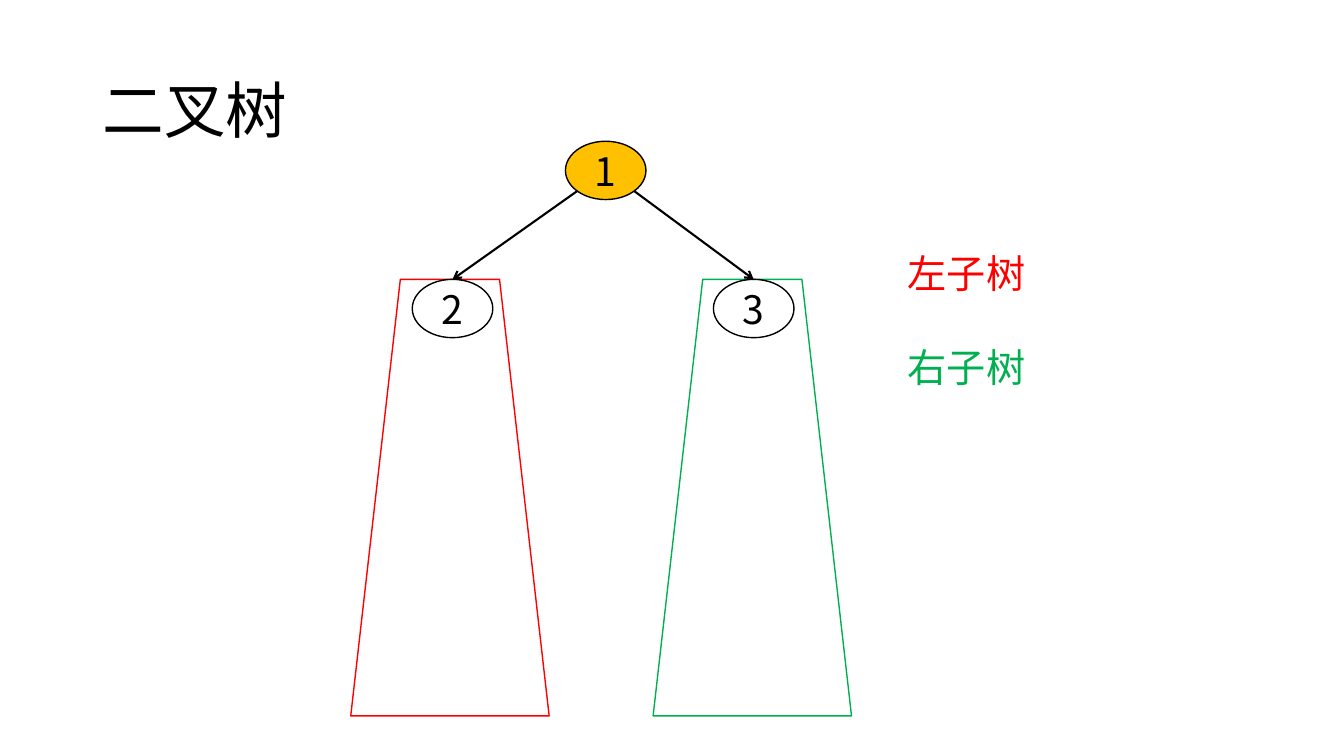
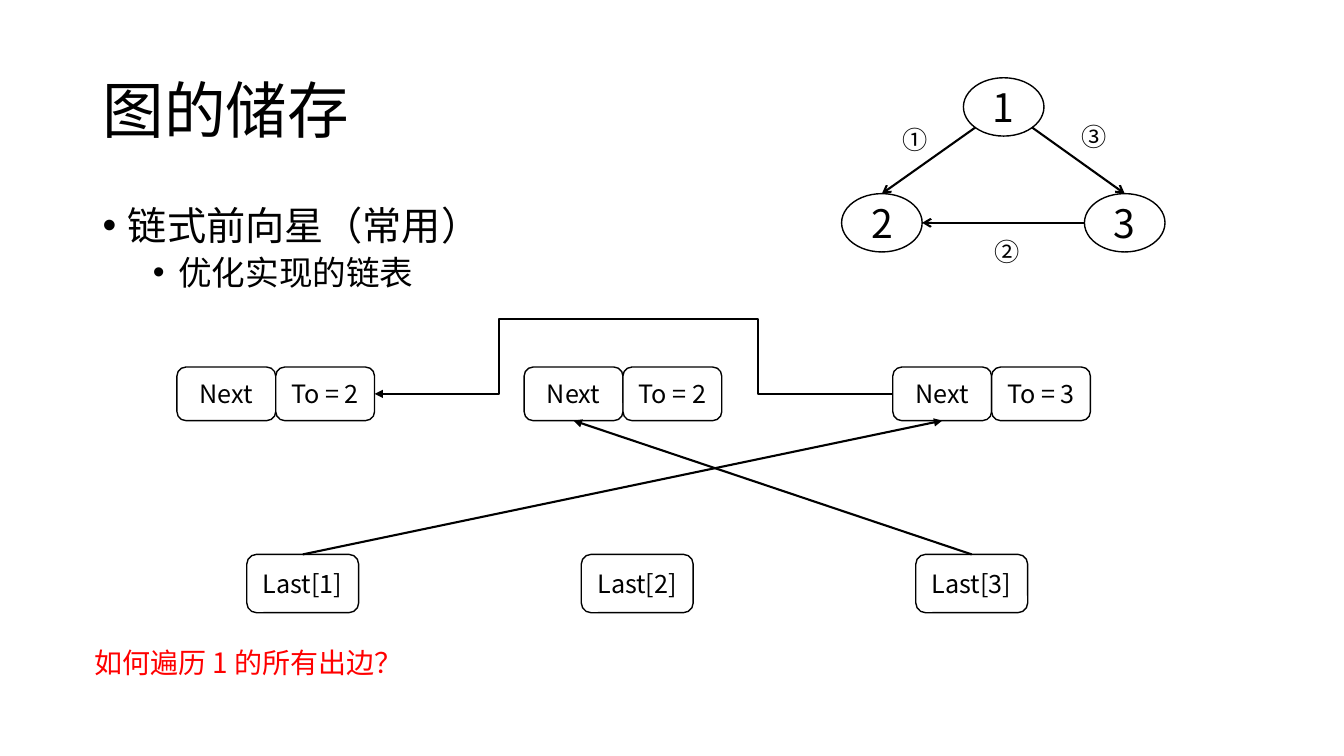
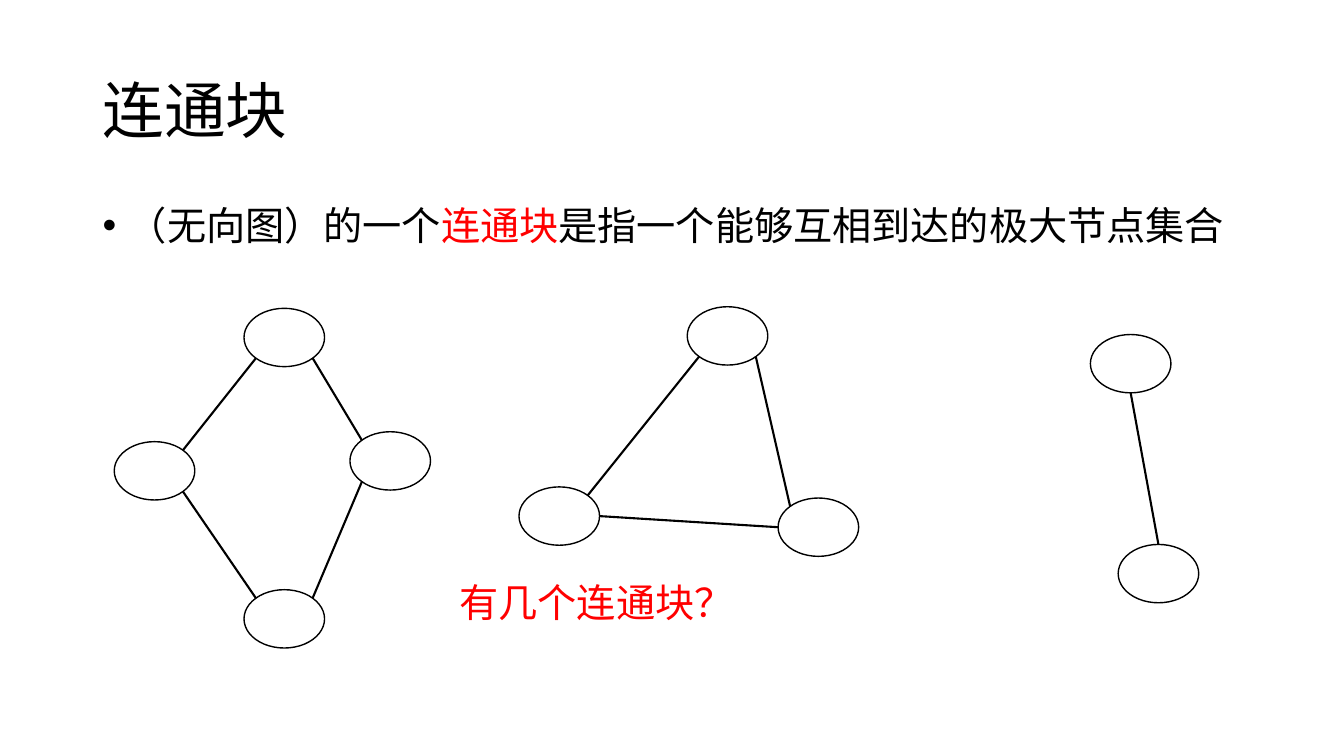
from lxml.etree import SubElement
from pptx import Presentation
from pptx.dml.color import RGBColor
from pptx.enum.shapes import MSO_CONNECTOR, MSO_SHAPE
from pptx.enum.text import MSO_ANCHOR, MSO_AUTO_SIZE, PP_ALIGN
from pptx.oxml.ns import qn
from pptx.util import Cm, Pt

FONT = "Noto Sans CJK SC"
BLACK = RGBColor(0x00, 0x00, 0x00)
WHITE = RGBColor(0xFF, 0xFF, 0xFF)
RED = RGBColor(0xFF, 0x00, 0x00)
GREEN = RGBColor(0x00, 0xB0, 0x50)
AMBER = RGBColor(0xFF, 0xC0, 0x00)

TITLE_AREA = (2.33, 1.01, 29.21, 3.68)
BODY_AREA = (2.33, 5.08, 29.21, 12.09)
BODY_LEVELS = [(28, 10, 0.64), (24, 5, 1.91)]
HANGING = Cm(0.64)
NODE_SIZE = (2.03, 1.47)
NEAR, FAR = 0.15, 0.85
NODE_SIDES = {
    "top": (0.5, 0), "bottom": (0.5, 1), "left": (0, 0.5), "right": (1, 0.5),
    "top left": (NEAR, NEAR), "top right": (FAR, NEAR),
    "bottom left": (NEAR, FAR), "bottom right": (FAR, FAR),
}

TREE_NODES = {"1": (14.25, 3.56), "2": (10.39, 7.04), "3": (17.98, 7.04)}
TREE_EDGES = [("1", "bottom left", "2", "top"), ("1", "bottom right", "3", "top")]
SUBTREES = [(16.46, GREEN), (8.84, RED)]
SUBTREE_TOP, SUBTREE_SIZE = 7.04, (5.0, 11.0)
SUBTREE_LABELS = [("左子树", RED), ("右子树", GREEN)]

STORAGE_LIST = [(0, [("链式前向星（常用）", BLACK)]), (1, [("优化实现的链表", BLACK)])]
GRAPH_NODES = {"1": (24.28, 1.96), "2": (21.21, 4.88), "3": (27.33, 4.88)}
GRAPH_EDGES = TREE_EDGES + [("3", "left", "2", "right")]
EDGE_LABELS = [("①", 22.5, 3.0), ("②", 24.82, 5.84), ("③", 27.0, 2.92)]
CELL_TOP, CELL_SIZE = 9.25, (2.49, 1.35)
EDGE_CELLS = [(4.46, "To = 2"), (13.21, "To = 2"), (22.5, "To = 3")]
LAST_LEFT, LAST_TOP, LAST_STEP, LAST_SIZE = 6.22, 13.97, 8.43, (2.82, 1.47)
LAST_LINKS = [(0, 2), (2, 1)]
DETOUR = (15.7, 8.04)

BLOCK_LIST = [(0, [("（无向图）的一个", BLACK), ("连通块", RED),
                   ("是指一个能够互相到达的极大节点集合", BLACK)])]
BLOCK_NODES = {
    "a": (6.15, 7.77), "b": (2.88, 11.13), "c": (6.15, 14.86), "d": (8.82, 10.88),
    "e": (17.32, 7.73), "f": (13.08, 12.27), "g": (19.61, 12.55),
    "h": (27.48, 8.43), "i": (28.18, 13.72),
}
BLOCK_EDGES = [
    ("d", "top left", "a", "bottom right"), ("b", "top right", "a", "bottom left"),
    ("b", "bottom right", "c", "top left"), ("d", "bottom left", "c", "top right"),
    ("e", "bottom right", "g", "top left"), ("e", "bottom left", "f", "top right"),
    ("f", "right", "g", "left"), ("h", "bottom", "i", "top"),
]


def add_span(para, text, size, color):
    span = para.add_run()
    span.text = text
    span.font.size = Pt(size)
    span.font.color.rgb = color
    span.font.name = FONT
    SubElement(span.font._element, qn("a:ea")).set("typeface", FONT)


def place(box, area):
    box.left, box.top, box.width, box.height = map(Cm, area)


def start_page(deck, title, items=()):
    page = deck.slides.add_slide(deck.slide_layouts[1 if items else 5])
    heading = page.shapes.title
    place(heading, TITLE_AREA)
    frame = heading.text_frame
    frame.auto_size = MSO_AUTO_SIZE.NONE
    frame.vertical_anchor = MSO_ANCHOR.MIDDLE
    para = frame.paragraphs[0]
    para.alignment = PP_ALIGN.LEFT
    para.line_spacing = 0.9
    add_span(para, title, 44, BLACK)
    if items:
        body = page.placeholders[1]
        place(body, BODY_AREA)
        fill_list(body.text_frame, items)
    return page


def fill_list(frame, items):
    frame.auto_size = MSO_AUTO_SIZE.NONE
    for index, (level, spans) in enumerate(items):
        para = frame.add_paragraph() if index else frame.paragraphs[0]
        size, before, indent = BODY_LEVELS[level]
        para.level = level
        para.line_spacing = 0.9
        para.space_before = Pt(before)
        properties = para._p.get_or_add_pPr()
        properties.set("marL", str(Cm(indent)))
        properties.set("indent", str(-HANGING))
        SubElement(properties, qn("a:buFont")).set("typeface", "Arial")
        SubElement(properties, qn("a:buChar")).set("char", "•")
        for text, color in spans:
            add_span(para, text, size, color)


def add_box(page, kind, area, text="", size=18, fill=WHITE, line=BLACK):
    box = page.shapes.add_shape(kind, *map(Cm, area))
    box.shadow.inherit = False
    box.fill.solid()
    box.fill.fore_color.rgb = fill
    box.line.color.rgb = line
    box.line.width = Pt(1)
    if text:
        box.text_frame.vertical_anchor = MSO_ANCHOR.MIDDLE
        para = box.text_frame.paragraphs[0]
        para.alignment = PP_ALIGN.CENTER
        add_span(para, text, size, BLACK)
    return box


def add_label(page, area, lines, size, gap=0):
    box = page.shapes.add_textbox(*map(Cm, area))
    frame = box.text_frame
    frame.word_wrap = True
    for index, (text, color) in enumerate(lines):
        para = frame.add_paragraph() if index else frame.paragraphs[0]
        para.space_before = Pt(gap if index else 0)
        add_span(para, text, size, color)


def add_link(page, start, end, head=None, kind=MSO_CONNECTOR.STRAIGHT):
    link = page.shapes.add_connector(kind, *start, *end)
    link.line.color.rgb = BLACK
    link.line.width = Pt(1.5)
    if head:
        SubElement(link.line._get_or_add_ln(), qn("a:tailEnd")).set("type", head)
    SubElement(link._element.spPr, qn("a:effectLst"))
    return link


def side_point(box, side):
    across, down = NODE_SIDES[side]
    return int(box.left + box.width * across), int(box.top + box.height * down)


def add_graph(page, nodes, edges, head=None, named=True, fills=None):
    boxes = {
        name: add_box(page, MSO_SHAPE.OVAL, corner + NODE_SIZE, name if named else "",
                      28, (fills or {}).get(name, WHITE))
        for name, corner in nodes.items()
    }
    for source, source_side, target, target_side in edges:
        add_link(page, side_point(boxes[source], source_side),
                 side_point(boxes[target], target_side), head)


def build_tree(deck):
    page = start_page(deck, "二叉树")
    for left, color in SUBTREES:
        add_box(page, MSO_SHAPE.TRAPEZOID, (left, SUBTREE_TOP) + SUBTREE_SIZE, line=color)
    add_graph(page, TREE_NODES, TREE_EDGES, "arrow", fills={"1": AMBER})
    add_label(page, (22.63, 6.15, 8.1, 3.84), SUBTREE_LABELS, 28, 33.6)


def build_storage(deck):
    page = start_page(deck, "图的储存", STORAGE_LIST)
    add_graph(page, GRAPH_NODES, GRAPH_EDGES, "arrow")
    for text, left, top in EDGE_LABELS:
        add_label(page, (left, top, 1.47, 1.02), [(text, BLACK)], 18)

    next_cells, to_cells = [], []
    for left, target in EDGE_CELLS:
        for offset, text, cells in ((0, "Next", next_cells), (CELL_SIZE[0], target, to_cells)):
            area = (left + offset, CELL_TOP) + CELL_SIZE
            cells.append(add_box(page, MSO_SHAPE.ROUNDED_RECTANGLE, area, text))
    last_boxes = [
        add_box(page, MSO_SHAPE.ROUNDED_RECTANGLE,
                (LAST_LEFT + LAST_STEP * index, LAST_TOP) + LAST_SIZE, f"Last[{index + 1}]")
        for index in range(3)
    ]
    for last, cell in LAST_LINKS:
        link = add_link(page, side_point(last_boxes[last], "top"),
                        side_point(next_cells[cell], "bottom"), "triangle")
        link.begin_connect(last_boxes[last], 0)
        link.end_connect(next_cells[cell], 2)

    detour = tuple(map(Cm, DETOUR))
    add_link(page, side_point(next_cells[2], "left"), detour, kind=MSO_CONNECTOR.ELBOW)
    add_link(page, detour, side_point(to_cells[0], "right"), "triangle", MSO_CONNECTOR.ELBOW)
    add_label(page, (2.13, 16.15, 8.8, 1.11), [("如何遍历 1 的所有出边？", RED)], 20)


def build_blocks(deck):
    page = start_page(deck, "连通块", BLOCK_LIST)
    add_graph(page, BLOCK_NODES, BLOCK_EDGES, named=False)
    add_label(page, (11.33, 14.45, 11.43, 1.45), [("有几个连通块？", RED)], 28)


def main():
    deck = Presentation()
    deck.slide_width, deck.slide_height = Cm(33.87), Cm(19.05)
    build_tree(deck)
    build_storage(deck)
    build_blocks(deck)
    deck.save("out.pptx")


if __name__ == "__main__":
    main()
